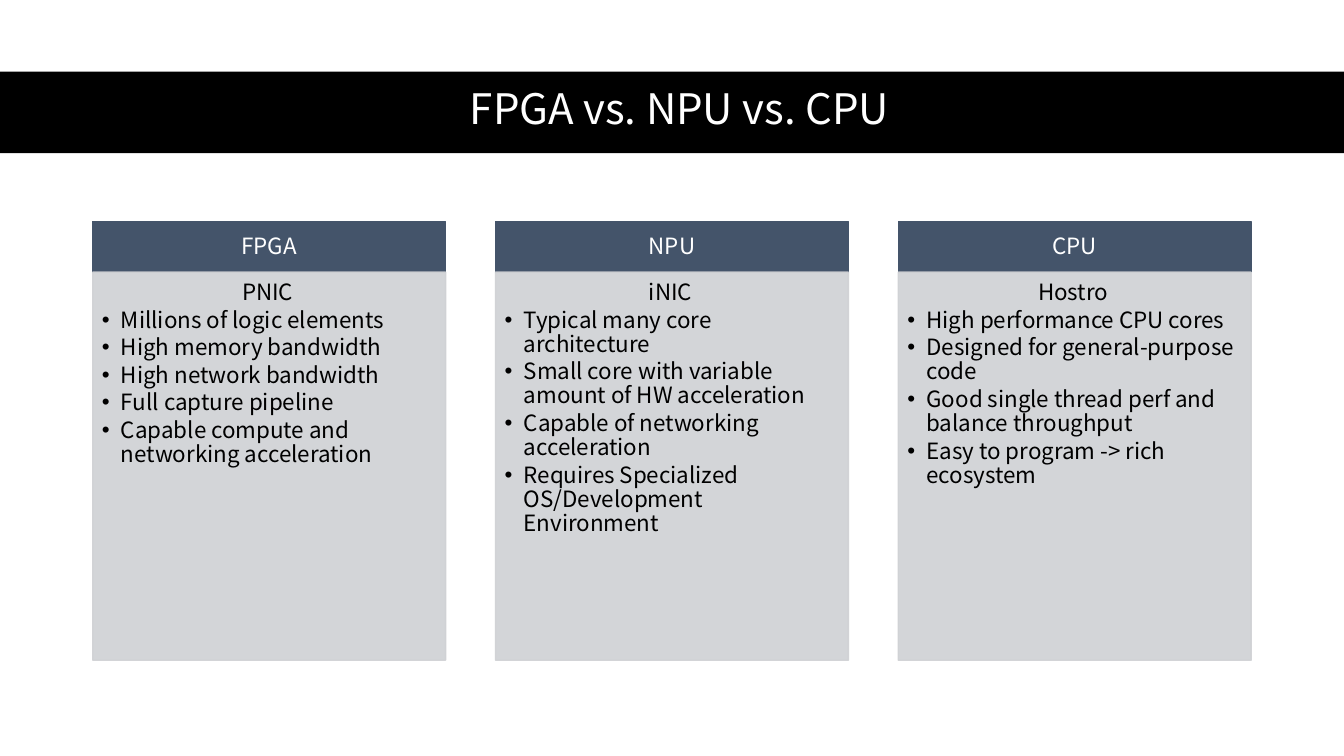
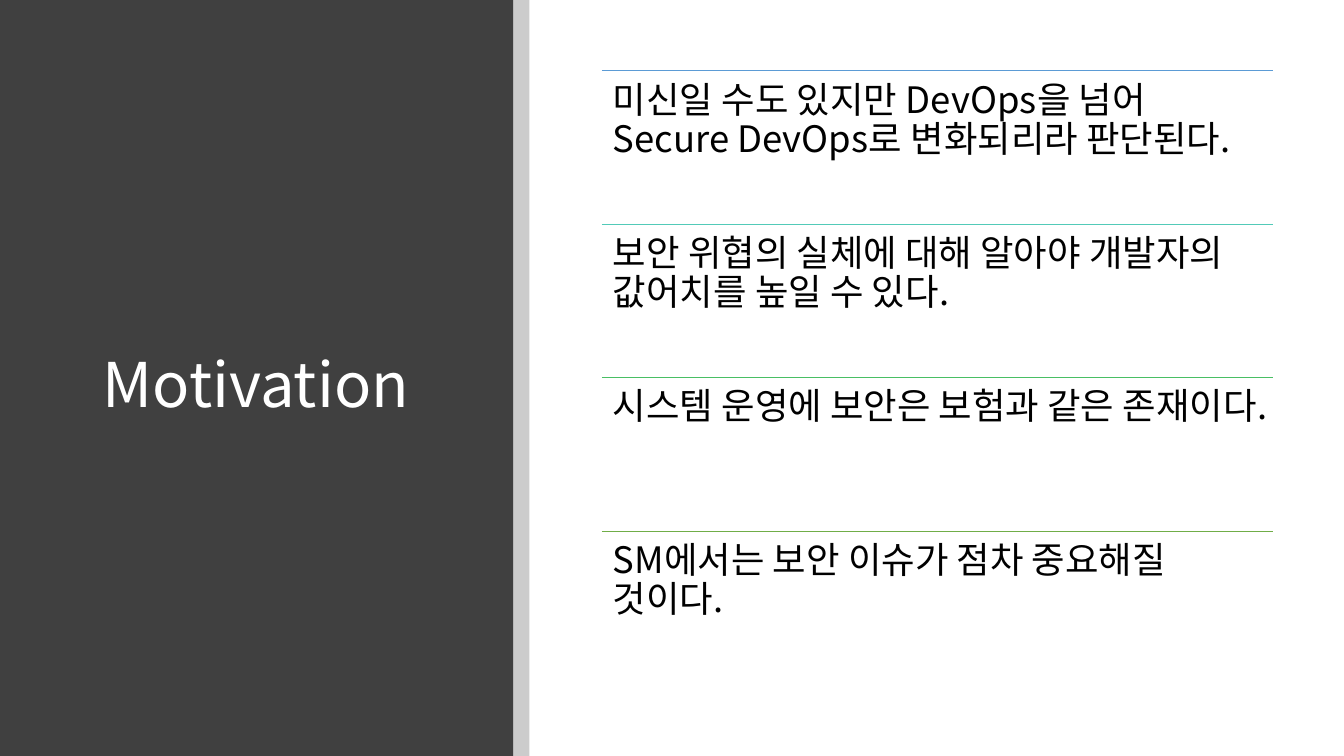
from dataclasses import dataclass

from lxml import etree
from pptx import Presentation
from pptx.dml.color import RGBColor
from pptx.enum.shapes import MSO_CONNECTOR, MSO_SHAPE
from pptx.enum.text import MSO_ANCHOR, MSO_AUTO_SIZE, PP_ALIGN
from pptx.oxml.ns import qn
from pptx.util import Inches, Pt

RECT, STRAIGHT = MSO_SHAPE.RECTANGLE, MSO_CONNECTOR.STRAIGHT
TOP, MIDDLE = MSO_ANCHOR.TOP, MSO_ANCHOR.MIDDLE
LEFT, CENTER = PP_ALIGN.LEFT, PP_ALIGN.CENTER
NO_FIT = MSO_AUTO_SIZE.NONE
TITLE_ONLY = 5


@dataclass(frozen=True)
class Theme:
    width: float = 13.33
    height: float = 7.5
    font: str = "Noto Sans CJK KR"
    text: str = "000000"
    inverse: str = "FFFFFF"
    band: str = "000000"
    sidebar: str = "404040"
    header: str = "44546A"
    panel: str = "CFD1D4"
    rules: tuple = ("5B9BD5", "52CAB8", "49BF64", "70AD47")
    band_title: int = 30
    side_title: int = 44
    card: int = 16
    statement: int = 26
    hang: float = 0.19
    leading: float = 0.9


T = Theme()

COLUMNS = [
    ("FPGA", "PNIC", [
        "Millions of logic elements",
        "High memory bandwidth",
        "High network bandwidth",
        "Full capture pipeline",
        "Capable compute and networking acceleration",
    ]),
    ("NPU", "iNIC", [
        "Typical many core architecture",
        "Small core with variable amount of HW acceleration",
        "Capable of networking acceleration",
        "Requires Specialized OS/Development Environment",
    ]),
    ("CPU", "Hostro", [
        "High performance CPU cores",
        "Designed for general-purpose code",
        "Good single thread perf and balance throughput",
        "Easy to program -> rich ecosystem",
    ]),
]

STATEMENTS = [
    "미신일 수도 있지만 DevOps을 넘어 Secure DevOps로 변화되리라 판단된다.",
    "보안 위협의 실체에 대해 알아야 개발자의 값어치를 높일 수 있다.",
    "시스템 운영에 보안은 보험과 같은 존재이다.",
    "SM에서는 보안 이슈가 점차 중요해질 것이다.",
]


# Shared drawing helpers
def inches(box):
    return [Inches(v) for v in box]


def set_alpha(sp, percent):
    for color in sp.element.spPr.iter(qn("a:srgbClr")):
        etree.SubElement(color, qn("a:alpha")).set("val", str(percent * 1000))


def add_rect(s, box, fill, outlined=False, alpha=100):
    sp = s.shapes.add_shape(RECT, *inches(box))
    sp.shadow.inherit = False
    sp.fill.solid()
    sp.fill.fore_color.rgb = RGBColor.from_string(fill)
    if outlined:
        sp.line.color.rgb = RGBColor.from_string(fill)
        sp.line.width = Pt(1)
    else:
        sp.line.fill.background()
    if alpha < 100:
        set_alpha(sp, alpha)
    return sp


def setup_frame(sp, margins, anchor):
    tf = sp.text_frame
    tf.word_wrap = True
    tf.auto_size = NO_FIT
    tf.vertical_anchor = anchor
    tf.margin_left, tf.margin_top, tf.margin_right, tf.margin_bottom = inches(margins)
    return tf


def write(p, text, size, color, align=LEFT, after=0.0):
    """Fill a paragraph; after is a share of the type size."""
    p.text = text
    p.alignment = align
    p.line_spacing = T.leading
    p.space_before = Pt(0)
    p.space_after = Pt(round(size * after, 1))
    for r in p.runs:
        r.font.size = Pt(size)
        r.font.name = T.font
        r.font.color.rgb = RGBColor.from_string(color)
        etree.SubElement(r.font._element, qn("a:ea")).set("typeface", T.font)


def set_hanging(p, bullet):
    pPr = p._p.get_or_add_pPr()
    pPr.set("marL", str(Inches(T.hang)))
    pPr.set("indent", str(-Inches(T.hang)))
    if bullet:
        etree.SubElement(pPr, qn("a:buFont")).set("typeface", "Arial")
        etree.SubElement(pPr, qn("a:buChar")).set("char", "•")


def place_title(s, box, text, size, align):
    title = s.shapes.title
    title.left, title.top, title.width, title.height = inches(box)
    tf = setup_frame(title, (0.1, 0.05, 0.1, 0.05), MIDDLE)
    write(tf.paragraphs[0], text, size, T.inverse, align)
    # Bring the title in front of its band
    s.shapes._spTree.append(title.element)


# Regions
def card(s, box, heading, subheading, items):
    x, y, w, h = box
    header_h = 0.5
    sp = add_rect(s, (x, y, w, header_h), T.header, outlined=True)
    tf = setup_frame(sp, (0.12, 0.07, 0.12, 0.07), MIDDLE)
    write(tf.paragraphs[0], heading, T.card, T.inverse, CENTER, 0.35)

    sp = add_rect(s, (x, y + header_h, w, h - header_h), T.panel, True, alpha=90)
    tf = setup_frame(sp, (0.09, 0.09, 0.12, 0.14), TOP)
    p = tf.paragraphs[0]
    write(p, subheading, T.card, T.text, CENTER, 0.15)
    set_hanging(p, bullet=False)
    for item in items:
        p = tf.add_paragraph()
        write(p, item, T.card, T.text, after=0.15)
        set_hanging(p, bullet=True)


def ruled_statement(s, box, text, color):
    x, y, w, _ = box
    rule = s.shapes.add_connector(STRAIGHT, *inches((x, y, x + w, y)))
    rule.line.color.rgb = RGBColor.from_string(color)
    rule.line.width = Pt(0.5)
    etree.SubElement(rule.element.spPr, qn("a:effectLst"))
    sp = s.shapes.add_textbox(*inches(box))
    tf = setup_frame(sp, (0.11,) * 4, TOP)
    write(tf.paragraphs[0], text, T.statement, T.text, after=0.35)


# Slide types
def comparison_slide(s, title, columns):
    add_rect(s, (0, 0.71, T.width, 0.81), T.band)
    place_title(s, (0.61, 0.7, 12.26, 0.81), title, T.band_title, CENTER)
    x, y, w, h = 0.92, 2.2, 11.49, 4.35
    card_w = 3.5
    step = (w - card_w) / (len(columns) - 1)
    for i, column in enumerate(columns):
        card(s, (x + i * step, y, card_w, h), *column)


def sidebar_slide(s, title, statements):
    side_w = 5.09
    add_rect(s, (0, 0, side_w, T.height), T.sidebar)
    add_rect(s, (side_w, 0, 0.16, T.height), T.band, alpha=20)
    place_title(s, (0.92, 0.89, 3.65, 5.91), title, T.side_title, LEFT)
    x, y, w, h = 5.97, 0.7, 6.66, 6.09
    row_h = h / len(statements)
    for i, (text, color) in enumerate(zip(statements, T.rules)):
        ruled_statement(s, (x, y + i * row_h, w, row_h), text, color)


def main():
    prs = Presentation()
    prs.slide_width, prs.slide_height = inches((T.width, T.height))
    layout = prs.slide_layouts[TITLE_ONLY]
    comparison_slide(prs.slides.add_slide(layout), "FPGA vs. NPU vs. CPU", COLUMNS)
    sidebar_slide(prs.slides.add_slide(layout), "Motivation", STATEMENTS)
    prs.save("out.pptx")


if __name__ == "__main__":
    main()
